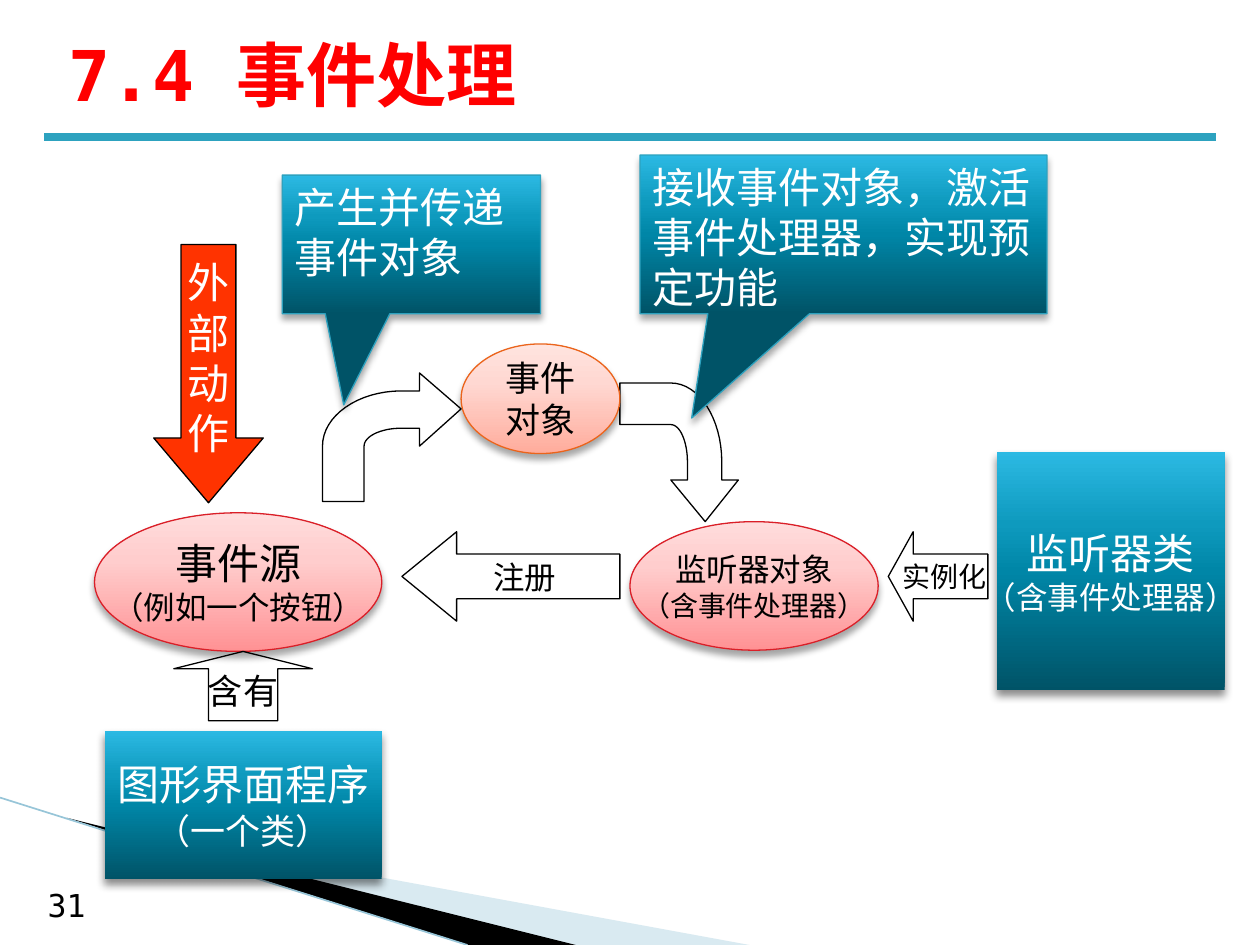
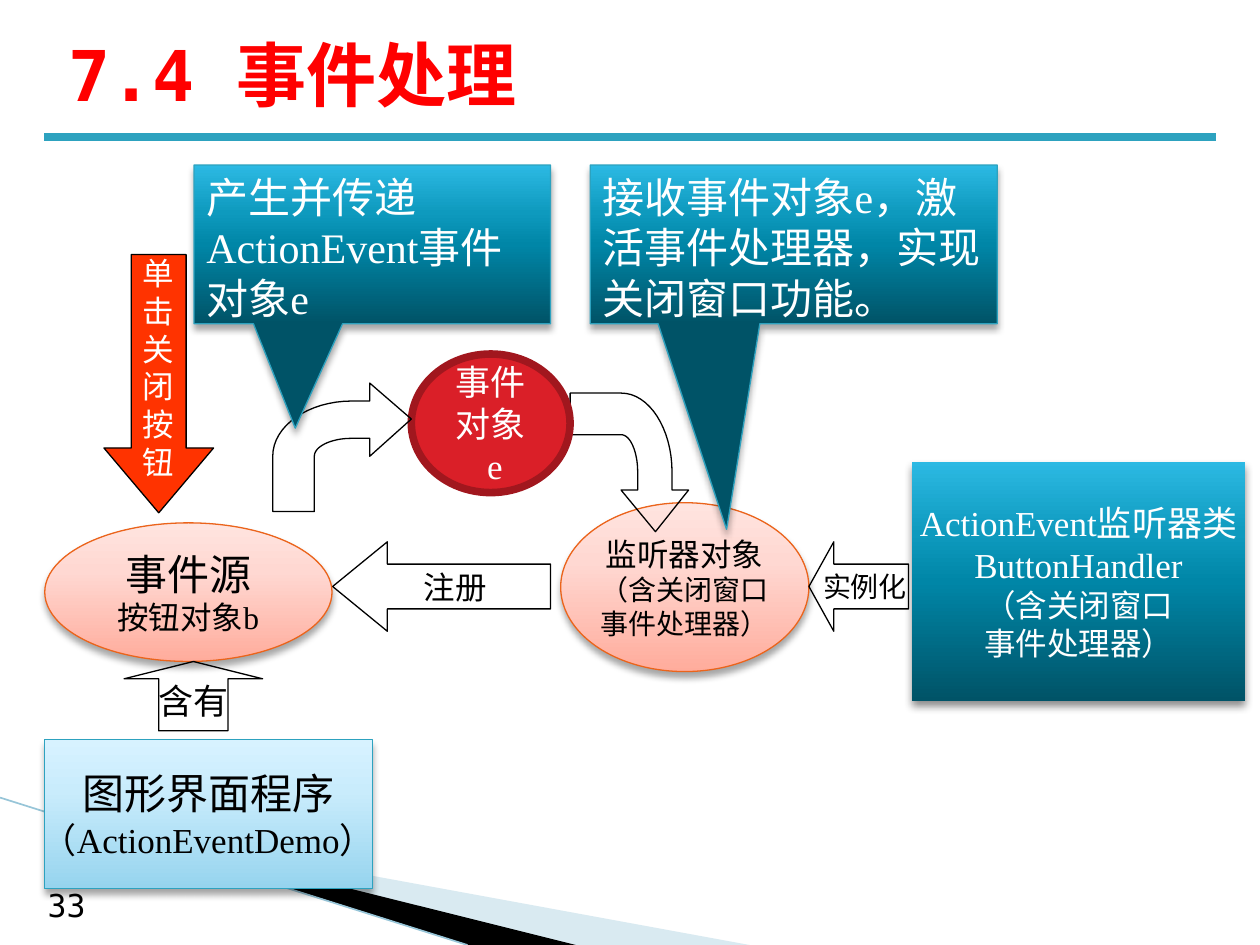
from dataclasses import dataclass
from typing import NamedTuple

from lxml import etree
from pptx import Presentation
from pptx import util as u
from pptx.dml.color import RGBColor
from pptx.enum import shapes, text
from pptx.oxml import parse_xml
from pptx.oxml.ns import nsdecls, qn


class Box(NamedTuple):
    """A place on the grid: columns and rows of a tenth of an inch."""
    left: float
    top: float
    width: float
    height: float

    def within(self, area):
        """Shift this box by the corner of the area that holds it."""
        return Box(area.left + self.left, area.top + self.top, self.width, self.height)


class Look(NamedTuple):
    """Fill (colour, gradient stops or None), outline, ink and shadow."""
    fill: object = None
    line: str = None
    weight: float = 0.75
    ink: str = "000000"
    shadow: tuple = None  # opacity %, blur pt, distance pt


@dataclass(frozen=True)
class Theme:
    """Colours, fonts and type sizes of the whole deck."""
    mono: str = "DejaVu Sans Mono"
    serif: str = "Times New Roman"
    heading: str = "FF0000"
    ink: str = "000000"
    rule: str = "2DA2BF"
    hairline: str = "97C5D8"
    pale: str = "A0CBDC"
    title: int = 40
    big: int = 24
    medium: int = 20
    small: int = 18
    tiny: int = 16


THEME = Theme()
CELL = u.Inches(0.1)
COLUMNS, ROWS = 100, 75

TEAL = ((0, "005367"), (50, "0086A7"), (70, "0E9ABE"), (100, "2CB9E3"))
SKY = ((0, "96D4EE"), (65, "C9ECFC"), (100, "D7F2FF"))
ROSE = ((0, "FF9294"), (65, "FFCDCD"), (100, "FFDCDC"))
PEACH = ((0, "FFAC9C"), (65, "FFD8D2"), (100, "FFE4DF"))
SOFT, STRONG = (35, 4, 3), (45, 5, 3)

PANEL = Look(TEAL, ink="FFFFFF", shadow=STRONG)
CALLOUT = Look(TEAL, THEME.rule, ink="FFFFFF", shadow=SOFT)
LIGHT_PANEL = Look(SKY, THEME.rule, shadow=SOFT)
ROSE_OVAL = Look(ROSE, "DA1F28", shadow=SOFT)
PEACH_OVAL = Look(PEACH, "EB641B", shadow=SOFT)
RED_OVAL = Look("DA1F28", "A1171E", 4.33, "FFFFFF")
OUTLINE = Look(line="000000")
ACTION = Look("FF3300", "000000", ink="FFFFFF")


def cells(*counts):
    """Turn grid counts into lengths."""
    return [u.Emu(round(count * CELL)) for count in counts]


def apply_look(shape, look):
    """Give a shape its fill, outline and shadow."""
    shape.shadow.inherit = False
    if look.fill is None:
        shape.fill.background()
    elif isinstance(look.fill, str):
        shape.fill.solid()
        shape.fill.fore_color.rgb = RGBColor.from_string(look.fill)
    else:
        shape.fill.background()
        stops = "".join(f'<a:gs pos="{share * 1000}"><a:srgbClr val="{colour}"/></a:gs>'
                        for share, colour in look.fill)
        gradient = parse_xml(f'<a:gradFill {nsdecls("a")} rotWithShape="1"><a:gsLst>{stops}'
                             '</a:gsLst><a:lin ang="16200000" scaled="0"/></a:gradFill>')
        blank = shape._element.spPr.find(qn("a:noFill"))
        blank.getparent().replace(blank, gradient)
    if look.line:
        shape.line.color.rgb = RGBColor.from_string(look.line)
        shape.line.width = u.Pt(look.weight)
    else:
        shape.line.fill.background()
    if look.shadow:
        opacity, blur, distance = look.shadow
        effects = shape._element.spPr.find(qn("a:effectLst"))
        effects.append(parse_xml(
            f'<a:outerShdw {nsdecls("a")} blurRad="{u.Pt(blur)}" dist="{u.Pt(distance)}" '
            f'dir="5400000" rotWithShape="0"><a:srgbClr val="000000">'
            f'<a:alpha val="{opacity * 1000}"/></a:srgbClr></a:outerShdw>'))


def write(frame, lines, font, colour, align=text.PP_ALIGN.LEFT, bold=False):
    """Write (words, size) lines as paragraphs of one run each."""
    for index, (words, size) in enumerate(lines):
        para = frame.add_paragraph() if index else frame.paragraphs[0]
        para.alignment = align
        span = para.add_run()
        span.text = words
        span.font.name = font
        span.font.size = u.Pt(size)
        span.font.bold = bold
        span.font.color.rgb = RGBColor.from_string(colour)


def add_node(page, kind, box, look, lines, adjust=()):
    """Place a preset shape with centred lines."""
    shape = page.shapes.add_shape(kind, *cells(*box))
    for index, value in enumerate(adjust):
        shape.adjustments[index] = value
    apply_look(shape, look)
    frame = shape.text_frame
    frame.word_wrap = False
    frame.vertical_anchor = text.MSO_ANCHOR.MIDDLE
    write(frame, lines, THEME.serif, look.ink, text.PP_ALIGN.CENTER)
    return shape


def add_callout(page, box, words, tip):
    """Place a speech box with wrapped text and a pointer to its tip."""
    shape = page.shapes.add_shape(shapes.MSO_SHAPE.RECTANGULAR_CALLOUT, *cells(*box))
    shape.adjustments[0], shape.adjustments[1] = tip
    apply_look(shape, CALLOUT)
    frame = shape.text_frame
    frame.word_wrap = True
    frame.vertical_anchor = text.MSO_ANCHOR.TOP
    write(frame, [(words, THEME.big)], THEME.serif, CALLOUT.ink)


def add_outline(page, points, look):
    """Draw a closed outline through grid points."""
    corners = [tuple(cells(*point)) for point in points]
    builder = page.shapes.build_freeform(*corners[0], scale=1.0)
    builder.add_line_segments(corners[1:], close=True)
    shape = builder.convert_to_shape()
    apply_look(shape, look)
    return shape


def quarter(start, end, bend, steps=16):
    """Points of a quarter ellipse that bulges towards the bend corner."""
    k = 0.55
    first = [a + k * (b - a) for a, b in zip(start, bend)]
    second = [a + k * (b - a) for a, b in zip(end, bend)]
    for step in range(steps + 1):
        t = step / steps
        s = 1 - t
        yield tuple(s**3 * p + 3 * s * s * t * q + 3 * s * t * t * r + t**3 * e
                    for p, q, r, e in zip(start, first, second, end))


def add_bent_arrow(page, box, turn=0):
    """Draw an arrow that rises and bends right, then turn it."""
    shares = [(1, 0.28), (0.7, 0), (0.7, 0.14),
              *quarter((0.57, 0.14), (0, 0.57), (0, 0.14)),
              (0, 1), (0.3, 1),
              *quarter((0.3, 0.57), (0.57, 0.43), (0.3, 0.43)),
              (0.7, 0.43), (0.7, 0.57)]
    points = [(box.left + x * box.width, box.top + y * box.height) for x, y in shares]
    add_outline(page, points, OUTLINE).rotation = turn


def add_line(page, start, end, colour, weight):
    """Draw a straight line without a shadow."""
    line = page.shapes.add_connector(shapes.MSO_CONNECTOR.STRAIGHT, *cells(*start, *end))
    line.line.color.rgb = RGBColor.from_string(colour)
    line.line.width = u.Pt(weight)
    etree.SubElement(line._element.spPr, qn("a:effectLst"))


def add_frame(deck, number):
    """Add a page with its title, rule, corner sweep and page number."""
    page = deck.slides.add_slide(deck.slide_layouts[5])
    title = page.shapes.title
    title.left, title.top, title.width, title.height = cells(4.4, 1.6, 90, 8.5)
    title.text_frame.auto_size = text.MSO_AUTO_SIZE.NONE
    title.text_frame.vertical_anchor = text.MSO_ANCHOR.MIDDLE
    write(title.text_frame, [("7.4 事件处理", THEME.title)], THEME.mono, THEME.heading, bold=True)

    sweep = add_outline(page, [(5.5, 65.1), (59.5, ROWS), (45.6, ROWS)], Look(THEME.pale))
    colour = sweep._element.spPr.find(".//" + qn("a:srgbClr"))
    etree.SubElement(colour, qn("a:alpha")).set("val", "40000")
    add_outline(page, [(5.3, 64.9), (45.7, ROWS), (37.2, ROWS)], Look(THEME.ink))
    add_line(page, (0, 63.3), (37.1, ROWS), THEME.hairline, 0.95)
    add_line(page, (3.5, 10.9), (COLUMNS - 3.5, 10.9), THEME.rule, 4.5)

    label = page.shapes.add_textbox(*cells(2.8, 69.8, 5.5, 4))
    label.text_frame.word_wrap = True
    write(label.text_frame, [(number, THEME.small)], THEME.mono, THEME.ink)
    return page


@dataclass
class Flow:
    """What differs between the event flows; boxes count from the area's corner."""
    area: Box
    program: tuple
    listener_class: tuple
    listener: tuple
    event: tuple
    source: tuple
    action: tuple
    arrow_lefts: tuple
    callouts: tuple


def add_flow(page, flow):
    """Draw the event flow from back to front inside its area."""
    kinds, area = shapes.MSO_SHAPE, flow.area

    def node(kind, box, look, lines, adjust=()):
        add_node(page, kind, box.within(area), look, lines, adjust)

    node(kinds.RECTANGLE, *flow.program)
    node(kinds.RECTANGLE, *flow.listener_class)
    node(kinds.OVAL, *flow.listener)
    create, register = flow.arrow_lefts
    node(kinds.LEFT_ARROW, Box(create, 29.9, 7.9, 7.1), OUTLINE,
         [("实例化", THEME.tiny)], (0.5, 0.278))
    node(kinds.LEFT_ARROW, Box(register, 29.9, 17.3, 7.1), OUTLINE,
         [("注册", THEME.small)], (0.5, 0.612))
    letters, size = flow.action
    node(kinds.DOWN_ARROW, Box(4.7, 7.1, 8.7, 20.5), ACTION,
         [(letter, size) for letter in letters], (0.5, 0.591))
    add_bent_arrow(page, Box(40.9, 18.9, 11, 9.4).within(area), 90)
    node(kinds.OVAL, *flow.event)
    add_bent_arrow(page, Box(18.1, 17.3, 11, 10.2).within(area))
    for box, words, tip in flow.callouts:
        add_callout(page, box.within(area), words, tip)
    look, note = flow.source
    node(kinds.OVAL, Box(0, 28.4, 22.8, 11), look,
         [("事件源", THEME.big), (note, THEME.small)])
    node(kinds.UP_ARROW, Box(6.3, 39.4, 11, 5.5), OUTLINE,
         [("含有", THEME.medium)], (0.5, 0.25))


GENERAL = Flow(
    area=Box(7.5, 12.3, 89.7, 57.5),
    program=(Box(0.8, 45.7, 22, 11.8), PANEL,
             [("图形界面程序", THEME.big), ("（一个类）", THEME.medium)]),
    listener_class=(Box(71.6, 23.6, 18.1, 18.9), PANEL,
                    [("监听器类", THEME.big), ("（含事件处理器）", THEME.small)]),
    listener=(Box(42.5, 29.1, 19.7, 10.2), ROSE_OVAL,
              [("监听器对象", THEME.small), ("（含事件处理器）", THEME.tiny)]),
    event=(Box(29.1, 15, 12.6, 8.7), PEACH_OVAL,
           [("事件", THEME.medium), ("对象", THEME.medium)]),
    source=(ROSE_OVAL, "（例如一个按钮）"),
    action=("外部动作", THEME.big),
    arrow_lefts=(63, 24.4),
    callouts=((Box(14.9, 1.6, 20.5, 11), "产生并传递事件对象", (-0.262, 1.158)),
              (Box(43.3, 0, 32.3, 12.6), "接收事件对象，激活事件处理器，实现预定功能",
               (-0.373, 1.158))))

BUTTON = Flow(
    area=Box(3.55, 13.1, 95.25, 57.4),
    program=(Box(0, 45.6, 26, 11.8), LIGHT_PANEL,
             [("图形界面程序", THEME.big), ("（ActionEventDemo）", THEME.medium)]),
    listener_class=(Box(68.85, 23.6, 26.4, 18.9), PANEL,
                    [("ActionEvent监听器类", THEME.medium), ("ButtonHandler", THEME.medium),
                     ("（含关闭窗口", THEME.small), ("事件处理器）", THEME.small)]),
    listener=(Box(40.95, 26.8, 19.7, 13.4), PEACH_OVAL,
              [("监听器对象", THEME.small), ("（含关闭窗口", THEME.tiny),
               ("事件处理器）", THEME.tiny)]),
    event=(Box(29.1, 15, 12.6, 11), RED_OVAL,
           [(words, THEME.medium) for words in ("事件", "对象", " e")]),
    source=(PEACH_OVAL, "按钮对象b"),
    action=("单击关闭按钮", THEME.small),
    arrow_lefts=(60.65, 22.85),
    callouts=((Box(11.85, 0, 28.3, 12.6), "产生并传递 ActionEvent事件对象e", (-0.216, 1.158)),
              (Box(43.3, 0, 32.3, 12.6), "接收事件对象e，激活事件处理器，实现关闭窗口功能。",
               (-0.165, 1.795))))

deck = Presentation()
deck.slide_width, deck.slide_height = cells(COLUMNS, ROWS)
for number, flow in (("31", GENERAL), ("33", BUTTON)):
    add_flow(add_frame(deck, number), flow)
deck.save("out.pptx")
